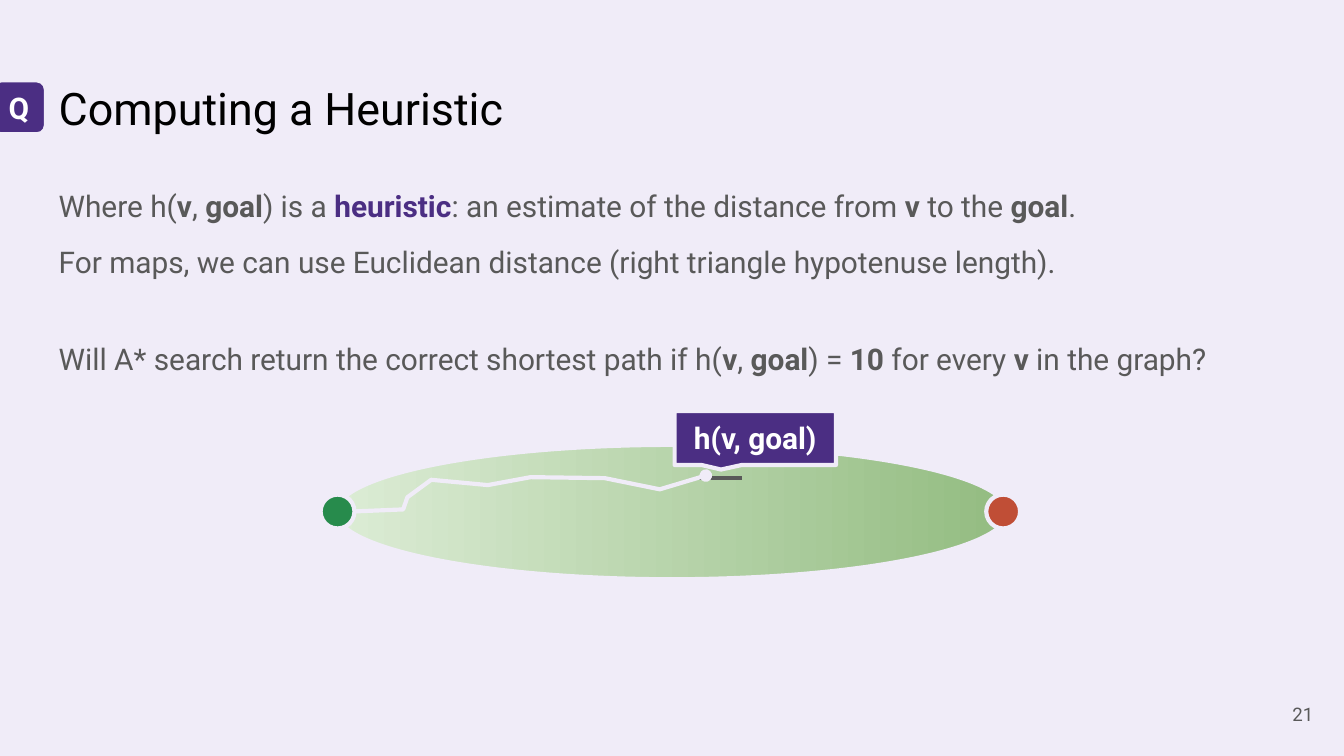
from lxml.etree import SubElement
from pptx import Presentation
from pptx.dml.color import RGBColor
from pptx.enum.shapes import MSO_CONNECTOR, MSO_SHAPE
from pptx.enum.text import MSO_ANCHOR, MSO_AUTO_SIZE, PP_ALIGN
from pptx.oxml.ns import qn
from pptx.util import Cm, Pt

FONT = "Roboto"
BACKGROUND = "F0ECF8"
PURPLE = "4B2E83"
GRAY = "595959"
WHITE = "FFFFFF"
GREEN = "278B4C"
RED = "C04E36"
LINE_WIDTH = Pt(2.25)

STATEMENTS = [
    ("Where h(|v|, |goal|) is a |heuristic|: an estimate of the distance from |v| to the |goal|.", 0),
    ("For maps, we can use Euclidean distance (right triangle hypotenuse length).", 8),
    ("Will A* search return the correct shortest path if h(|v|, |goal|) = |10| for every |v| in the graph?", 29.6),
]

ROUTE = [
    (6.4, 9.68), (7.62, 9.63), (7.7, 9.4), (8.15, 9.07), (9.22, 9.17),
    (10.03, 9.02), (11.43, 9.04), (12.47, 9.25), (13.34, 8.99),
]


def color(hex_value):
    return RGBColor.from_string(hex_value)


def set_font(font, size, hex_value, bold=False):
    font.name = FONT
    font.size = Pt(size)
    font.bold = bold
    font.color.rgb = color(hex_value)


def set_frame(text_frame, anchor):
    text_frame.word_wrap = True
    text_frame.auto_size = MSO_AUTO_SIZE.NONE
    text_frame.vertical_anchor = anchor
    text_frame.margin_left = text_frame.margin_right = Cm(0.25)
    text_frame.margin_top = text_frame.margin_bottom = Cm(0.25)


def set_line(line, hex_value=BACKGROUND):
    line.color.rgb = color(hex_value)
    line.width = LINE_WIDTH


def place(shape, left, top, width, height):
    shape.left, shape.top = Cm(left), Cm(top)
    shape.width, shape.height = Cm(width), Cm(height)


def write_line(text_frame, text, size, hex_value, alignment, bold=False):
    set_frame(text_frame, MSO_ANCHOR.MIDDLE)
    paragraph = text_frame.paragraphs[0]
    paragraph.text = text
    paragraph.alignment = alignment
    set_font(paragraph.font, size, hex_value, bold)


def remove_bullet(paragraph):
    properties = paragraph._p.get_or_add_pPr()
    properties.set("marL", "0")
    properties.set("indent", "0")
    SubElement(properties, qn("a:buNone"))


def write_statements(body):
    place(body, 0.86, 3.2, 23.67, 4.06)
    text_frame = body.text_frame
    set_frame(text_frame, MSO_ANCHOR.TOP)
    for index, (text, space_before) in enumerate(STATEMENTS):
        paragraph = text_frame.add_paragraph() if index else text_frame.paragraphs[0]
        paragraph.line_spacing = 1.15
        paragraph.space_before = Pt(space_before)
        remove_bullet(paragraph)
        set_font(paragraph.font, 16, GRAY)
        for position, part in enumerate(text.split("|")):
            run = paragraph.add_run()
            run.text = part
            if position % 2:
                run.font.bold = True
            if part == "heuristic":
                run.font.color.rgb = color(PURPLE)


def add_shape(slide, kind, left, top, width, height, fill=None, label=None, adjustments=()):
    shape = slide.shapes.add_shape(kind, Cm(left), Cm(top), Cm(width), Cm(height))
    shape.shadow.inherit = False
    for index, value in enumerate(adjustments):
        shape.adjustments[index] = value
    if fill:
        shape.fill.solid()
        shape.fill.fore_color.rgb = color(fill)
    set_line(shape.line)
    if label:
        write_line(shape.text_frame, label, 16, WHITE, PP_ALIGN.CENTER, True)
    return shape


def add_search_area(slide):
    area = add_shape(slide, MSO_SHAPE.OVAL, 6.35, 8.41, 12.7, 2.54)
    area.fill.gradient()
    area.fill.gradient_angle = 0
    for stop, position, hex_value in zip(area.fill.gradient_stops, (0, 1), ("DCECD5", "93BC81")):
        stop.position = position
        stop.color.rgb = color(hex_value)


def add_heuristic_line(slide):
    connector = slide.shapes.add_connector(
        MSO_CONNECTOR.STRAIGHT, Cm(13.18), Cm(9.04), Cm(14.02), Cm(9.04)
    )
    set_line(connector.line, GRAY)
    SubElement(connector._element.spPr, qn("a:effectLst"))


def add_route(slide):
    points = [(Cm(x), Cm(y)) for x, y in ROUTE]
    builder = slide.shapes.build_freeform(*points[0])
    builder.add_line_segments(points[1:], close=False)
    route = builder.convert_to_shape()
    route.fill.background()
    set_line(route.line)
    SubElement(route.line._get_or_add_ln(), qn("a:tailEnd"), type="oval")
    route.shadow.inherit = False


def add_page_number(slide):
    box = slide.shapes.add_textbox(Cm(23.55), Cm(12.95), Cm(1.52), Cm(1.09))
    write_line(box.text_frame, "21", 10, GRAY, PP_ALIGN.RIGHT)


def main():
    presentation = Presentation()
    presentation.slide_width = Cm(25.4)
    presentation.slide_height = Cm(14.29)
    slide = presentation.slides.add_slide(presentation.slide_layouts[1])
    slide.background.fill.solid()
    slide.background.fill.fore_color.rgb = color(BACKGROUND)

    title, body = slide.placeholders
    place(title, 0.86, 1.24, 23.67, 1.6)
    write_line(title.text_frame, "Computing a Heuristic", 24, "000000", PP_ALIGN.LEFT)
    write_statements(body)
    add_page_number(slide)

    add_search_area(slide)
    add_heuristic_line(slide)
    add_route(slide)
    add_shape(slide, MSO_SHAPE.OVAL, 6.06, 9.35, 0.64, 0.64, GREEN)
    add_shape(slide, MSO_SHAPE.ROUNDED_RECTANGULAR_CALLOUT, 12.75, 7.77, 3.05, 1.02,
              PURPLE, "h(v, goal)", (-0.212, 0.585, 0))
    add_shape(slide, MSO_SHAPE.OVAL, 18.64, 9.35, 0.64, 0.64, RED)
    add_shape(slide, MSO_SHAPE.ROUNDED_RECTANGLE, -0.15, 1.52, 1.02, 1.02, PURPLE, "Q", (0.167,))

    presentation.save("out.pptx")


if __name__ == "__main__":
    main()
